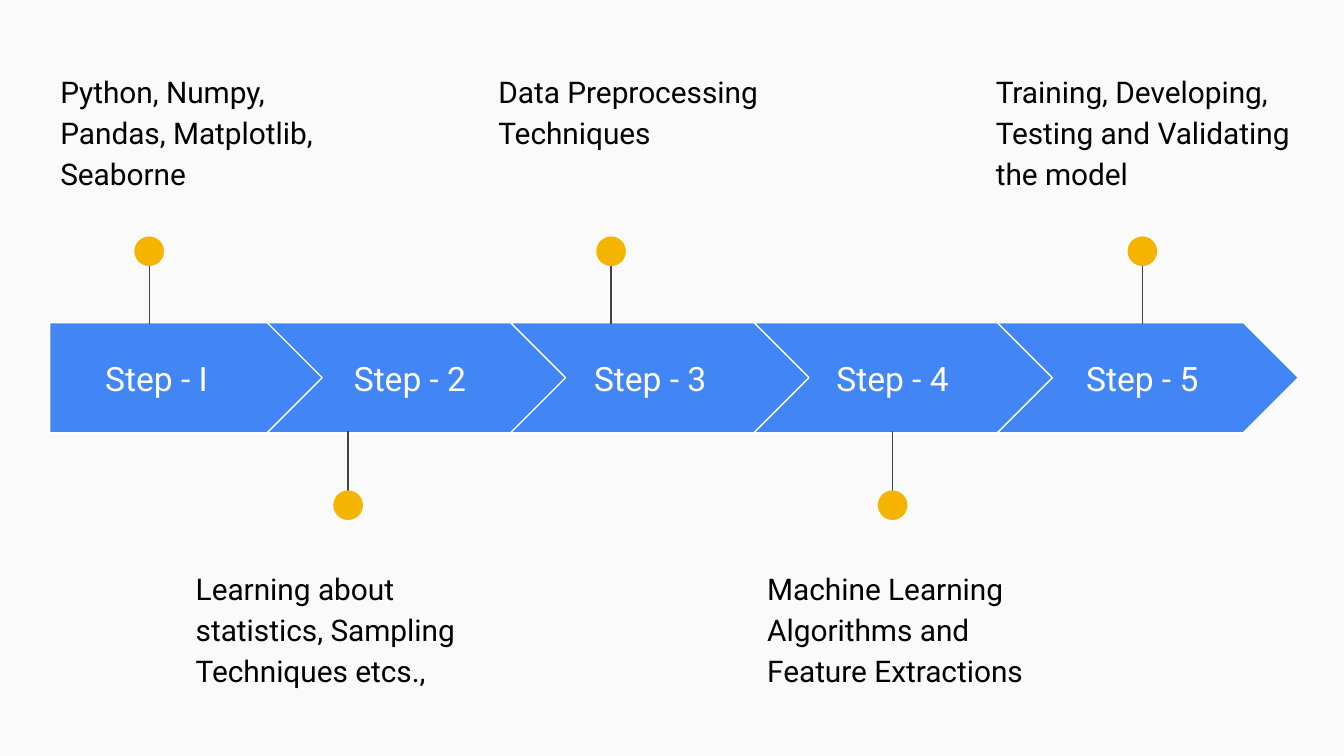
from pptx import Presentation
from pptx.dml.color import RGBColor
from pptx.enum.shapes import MSO_CONNECTOR as Link, MSO_SHAPE as Kind
from pptx.enum.text import MSO_ANCHOR as Anchor, PP_ALIGN as Align
from pptx.oxml.ns import qn
from pptx.util import Cm, Pt
from lxml.etree import SubElement

FONT = "Roboto"
BLUE, GOLD, GREY = "4285F4", "F4B400", "424242"
WHITE, BLACK, PAPER = "FFFFFF", "000000", "FAFAFA"

LEFT, TOP, TALL = 0.94, 6.1, 2.08
FIRST, WIDE, PITCH = 5.21, 5.69, 4.6
DOT = 0.56

STEPS = [
    ("Step - I", 0.94, 4.04, 2.82, 0.89,
     "Python, Numpy, Pandas, Matplotlib, Seaborne"),
    ("Step - 2", 5.92, 3.66, 6.58, 3.45,
     "Learning about statistics, Sampling Techniques etcs.,"),
    ("Step - 3", 10.46, 3.66, 11.55, 9.17,
     "Data Preprocessing Techniques"),
    ("Step - 4", 15.04, 3.66, 16.87, 14.25,
     "Machine Learning Algorithms and Feature Extractions"),
    ("Step - 5", 19.76, 3.66, 21.59, 18.57,
     "Training, Developing, Testing and Validating the model"),
]


def color(code):
    return RGBColor.from_string(code)


def box(*sizes):
    return [Cm(size) for size in sizes]


def write(slide, text, area, size=16, ink=BLACK, align=Align.LEFT,
          anchor=Anchor.TOP, space=1.0, after=0):
    frame = slide.shapes.add_textbox(*box(*area)).text_frame
    frame.word_wrap = True
    frame.vertical_anchor = anchor
    frame.margin_left = frame.margin_right = Cm(0.25)
    frame.margin_top = frame.margin_bottom = Cm(0.25)
    para = frame.paragraphs[0]
    para.alignment = align
    para.line_spacing = space
    para.space_after = Pt(after)
    run = para.add_run()
    run.text = text
    run.font.name = FONT
    run.font.size = Pt(size)
    run.font.color.rgb = color(ink)


def draw(slide, kind, area, fill, edge=None):
    shape = slide.shapes.add_shape(kind, *box(*area))
    shape.shadow.inherit = False
    shape.fill.solid()
    shape.fill.fore_color.rgb = color(fill)
    if edge:
        shape.line.color.rgb = color(edge)
        shape.line.width = Pt(0.75)
    else:
        shape.line.fill.background()
    return shape


def arrow(slide, index):
    if index:
        kind, left, wide = Kind.CHEVRON, 5.05 + PITCH * (index - 1), WIDE
    else:
        kind, left, wide = Kind.PENTAGON, LEFT, FIRST
    shape = draw(slide, kind, (left, TOP, wide, TALL), BLUE, WHITE)
    shape.adjustments[0] = 0.5


def pin(slide, mid, above):
    start, end, top = (4.57, 6.12, 4.47) if above else (9.7, 8.15, 9.27)
    line = slide.shapes.add_connector(
        Link.STRAIGHT, *box(mid, start, mid, end))
    line.line.color.rgb = color(GREY)
    line.line.width = Pt(0.75)
    SubElement(line._element.spPr, qn("a:effectLst"))
    draw(slide, Kind.OVAL, (mid - DOT / 2, top, DOT, DOT), GOLD)


def main():
    deck = Presentation()
    deck.slide_width, deck.slide_height = box(25.4, 14.29)
    slide = deck.slides.add_slide(deck.slide_layouts[6])
    slide.background.fill.solid()
    slide.background.fill.fore_color.rgb = color(PAPER)

    for index, (name, left, wide, mid, edge, note) in enumerate(STEPS):
        above = index % 2 == 0
        arrow(slide, index)
        write(slide, name, (left, 6.5, wide, 1.3), size=18, ink=WHITE,
              align=Align.CENTER, anchor=Anchor.MIDDLE)
        pin(slide, mid, above)
        write(slide, note, (edge, 1.04 if above else 10.44, 6.22, 2.51),
              space=1.15, after=16)

    deck.save("out.pptx")


if __name__ == "__main__":
    main()
